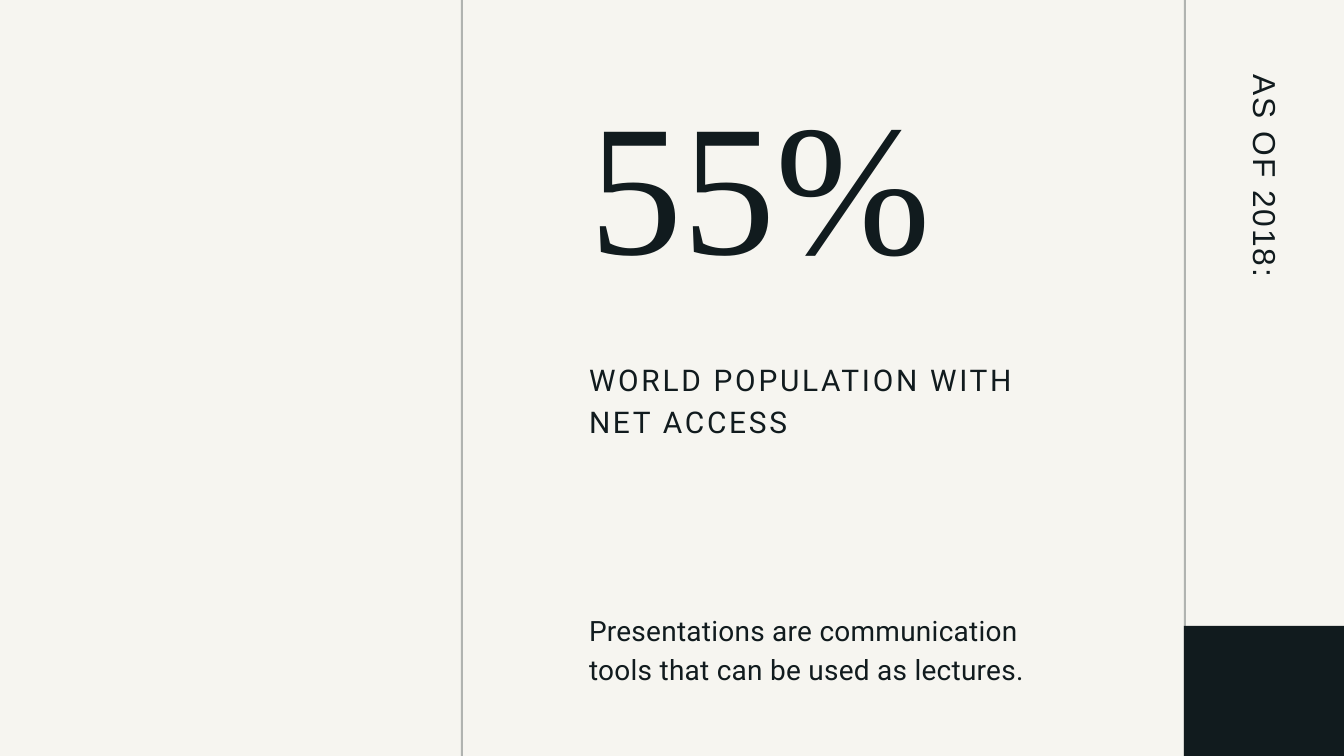
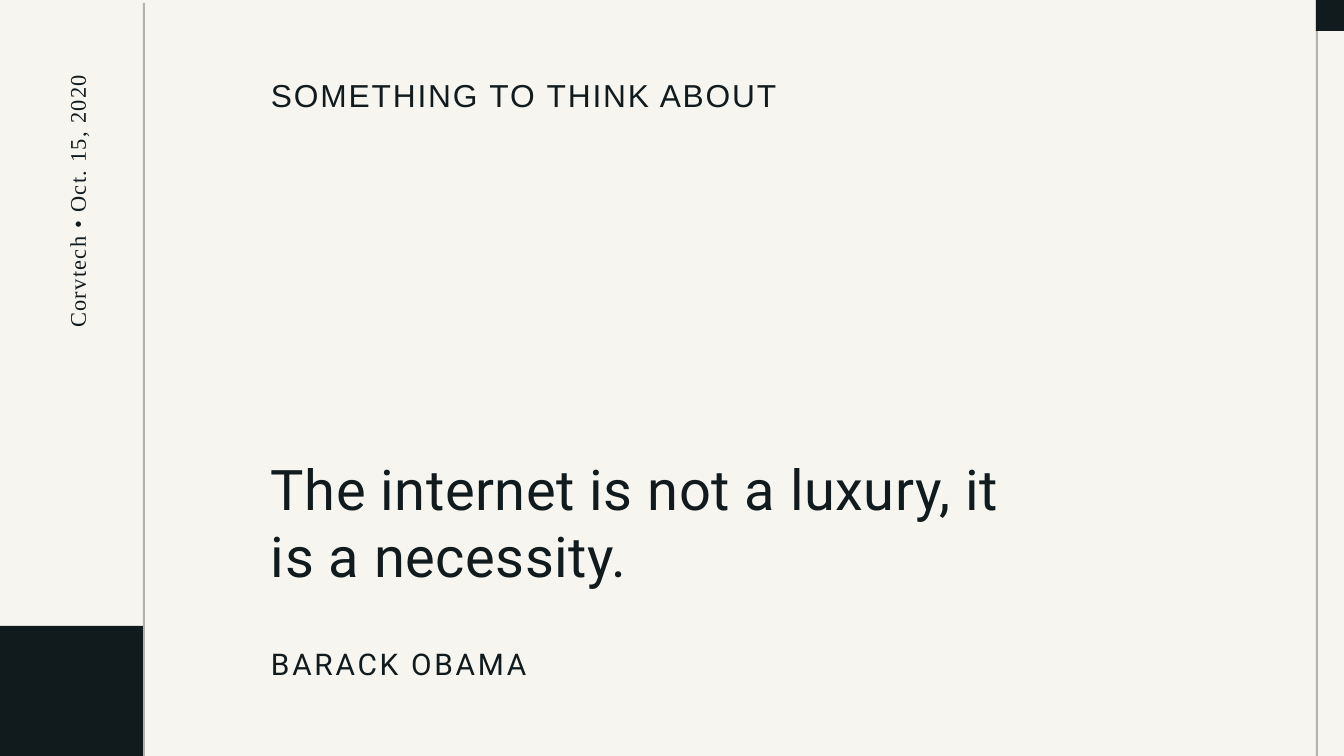
from lxml import etree
from pptx import Presentation
from pptx.dml.color import RGBColor
from pptx.enum.shapes import MSO_SHAPE
from pptx.enum.text import MSO_ANCHOR, MSO_AUTO_SIZE, PP_ALIGN
from pptx.oxml.ns import qn
from pptx.util import Pt

RECT = MSO_SHAPE.RECTANGLE
TOP, NO_FIT = MSO_ANCHOR.TOP, MSO_AUTO_SIZE.NONE
LEFT, RIGHT = PP_ALIGN.LEFT, PP_ALIGN.RIGHT

W, H = 1344, 756
EMU_PER_PX = 914400 * 20 / W
RULE_W, BLOCK_TOP = 2, 626
COLORS = {"paper": "F6F5F0", "ink": "111B1E"}

# Text styles: font, size, line pitch, letter spacing (all in points)
STYLES = {
    "heading": ("Arial", 34, 44.2, 2),
    "figure": ("Times New Roman", 200, 222, 0),
    "caption": ("Roboto", 32, 44.8, 2.9),
    "note": ("Roboto", 30, 42, 0.3),
    "quote": ("Roboto", 60, 72, 0.6),
    "date": ("Times New Roman", 24, 33.6, 1.4),
}


def px(n):
    return round(n * EMU_PER_PX)


def color(name):
    return RGBColor.from_string(COLORS[name])


def new_slide(prs):
    s = prs.slides.add_slide(prs.slide_layouts[5])
    s.background.fill.solid()
    s.background.fill.fore_color.rgb = color("paper")
    return s


def write(sp, lines, style, align=LEFT):
    font, size, pitch, spacing = STYLES[style]
    tf = sp.text_frame
    tf.word_wrap, tf.auto_size, tf.vertical_anchor = True, NO_FIT, TOP
    tf.margin_left = tf.margin_top = tf.margin_right = tf.margin_bottom = 0
    for i, line in enumerate(lines):
        p = tf.paragraphs[0] if i == 0 else tf.add_paragraph()
        r = p.add_run()
        r.text = line
        r.font._element.set("spc", str(round(spacing * 100)))
        p.alignment, p.line_spacing = align, Pt(pitch)
        p.space_before = Pt(0)
        p.font.name, p.font.size = font, Pt(size)
        p.font.color.rgb = color("ink")


def add_title(s, box, text, style):
    sp = s.shapes.title
    sp.left, sp.top, sp.width, sp.height = map(px, box)
    write(sp, [text], style)


def add_text(s, box, lines, style):
    write(s.shapes.add_textbox(*map(px, box)), lines, style)


def add_side_text(s, box, text, style, angle, align=LEFT):
    """Turn a line of text so that it fills the tall box."""
    x, y, w, h = box
    sp = s.shapes.add_textbox(px(x + (w - h) / 2), px(y + (h - w) / 2), px(h), px(w))
    sp.rotation = angle
    write(sp, [text], style, align)


def add_block(s, box, opacity=100):
    sp = s.shapes.add_shape(RECT, *map(px, box))
    sp.shadow.inherit = False
    sp.line.fill.background()
    sp.fill.solid()
    sp.fill.fore_color.rgb = color("ink")
    if opacity < 100:
        rgb = sp.fill._xPr.find(".//" + qn("a:srgbClr"))
        etree.SubElement(rgb, qn("a:alpha")).set("val", str(opacity * 1000))


def add_rule(s, x, top=0):
    add_block(s, (x, top, RULE_W, H - top), opacity=30)


def statistic_column(s, box):
    x, y, w, _ = box
    add_title(s, (x, y, w, 214), "55%", "figure")
    add_text(s, (x, y + 271, w, 81), ["WORLD POPULATION WITH", "NET ACCESS"], "caption")
    add_text(s, (x, y + 523, w, 77),
             ["Presentations are communication tools that can be used as lectures."], "note")


def quote_column(s, box):
    x, y, w, _ = box
    add_title(s, (x, y, 581, 40), "SOMETHING TO THINK ABOUT", "heading")
    add_text(s, (x, y + 381, w, 133),
             ["The internet is not a luxury, it is a necessity."], "quote")
    add_text(s, (x, y + 567, 581, 40), ["BARACK OBAMA"], "caption")


def statistic_slide(prs):
    s = new_slide(prs)
    side = 1184
    add_rule(s, 461)
    statistic_column(s, (589, 85, 481, 600))
    # Right side band
    add_side_text(s, (side + 64, 75, 40, 476), "AS OF 2018:", "heading", 90)
    add_rule(s, side)
    add_block(s, (side, BLOCK_TOP, W - side, H - BLOCK_TOP))


def quote_slide(prs):
    s = new_slide(prs)
    side, edge = 143, 1316
    quote_column(s, (271, 73, 738, 607))
    # Right edge
    add_block(s, (edge, 0, W - edge, 31))
    add_rule(s, edge)
    # Left side band
    add_block(s, (0, BLOCK_TOP, side, H - BLOCK_TOP))
    add_rule(s, side, top=3)
    add_side_text(s, (59, 75, 30, 505), "Corvtech • Oct. 15, 2020", "date", 270, RIGHT)


def main():
    prs = Presentation()
    prs.slide_width, prs.slide_height = px(W), px(H)
    statistic_slide(prs)
    quote_slide(prs)
    prs.save("out.pptx")


if __name__ == "__main__":
    main()
